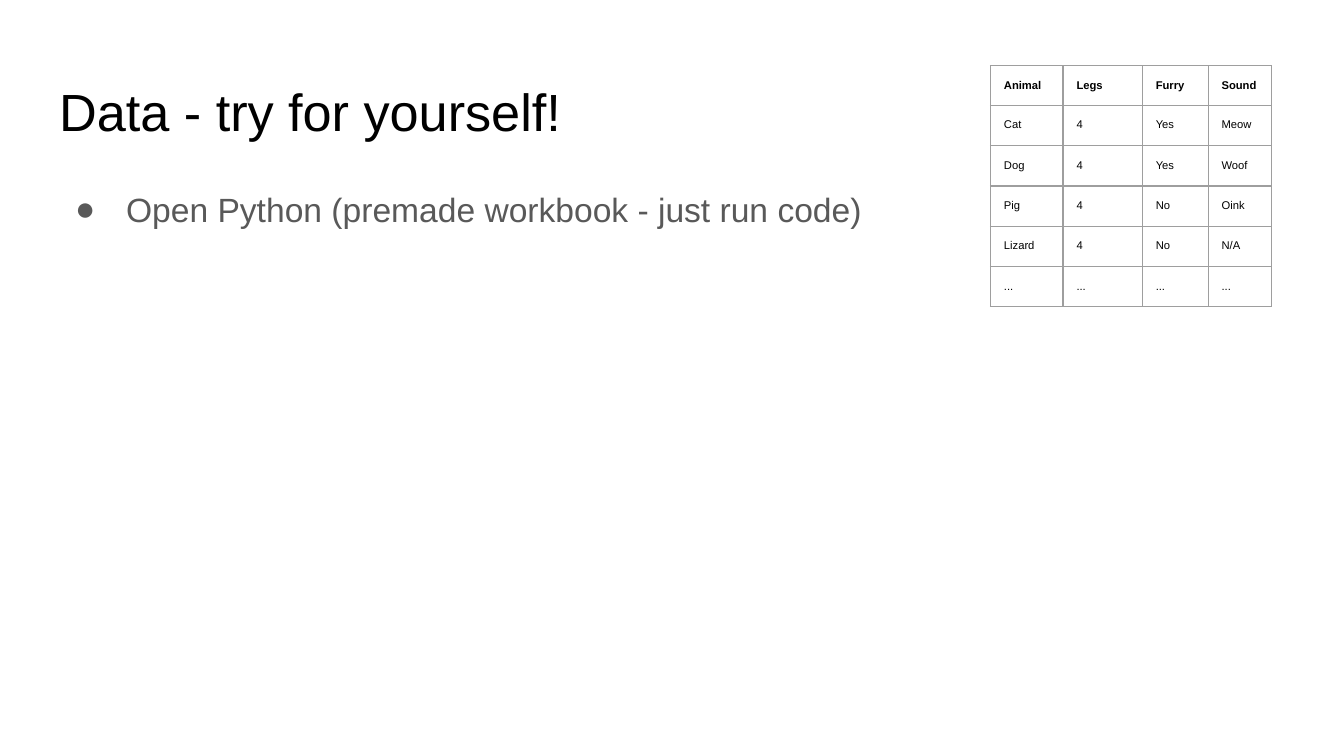
"""Build the slide that invites readers to try the animal data themselves."""
import pptx
import pptx.dml.color
import pptx.enum.text
import pptx.oxml
import pptx.oxml.ns
import pptx.util
from lxml import etree

BLACK = pptx.dml.color.RGBColor(0x00, 0x00, 0x00)
GREY = pptx.dml.color.RGBColor(0x59, 0x59, 0x59)
RULE = pptx.dml.color.RGBColor(0x9E, 0x9E, 0x9E)
WIDTH = 10
HEIGHT = WIDTH * 9 / 16
MARGIN = 0.34 / WIDTH
CONTENT = 1 - 2 * MARGIN
TOP = 0.49 / HEIGHT
ANIMALS = [
    ["Animal", "Legs", "Furry", "Sound"],
    ["Cat", "4", "Yes", "Meow"],
    ["Dog", "4", "Yes", "Woof"],
    ["Pig", "4", "No", "Oink"],
    ["Lizard", "4", "No", "N/A"],
    ["..."] * 4,
]


class Deck:
    """Holds the style and the current slide."""

    font = "Arial"
    inset = pptx.util.Inches(0.1)

    def __init__(self):
        self.prs = pptx.Presentation()
        self.prs.slide_width = pptx.util.Inches(WIDTH)
        self.prs.slide_height = pptx.util.Inches(HEIGHT)
        self.s = self.prs.slides.add_slide(self.prs.slide_layouts[5])

    def box(self, x, y, w, h):
        sw, sh = self.prs.slide_width, self.prs.slide_height
        return round(x * sw), round(y * sh), round(w * sw), round(h * sh)

    def pad(self, frame):
        frame.margin_left = frame.margin_right = self.inset
        frame.margin_top = frame.margin_bottom = self.inset

    def run(self, p, text, size, color, bold=False):
        p.alignment = pptx.enum.text.PP_ALIGN.LEFT
        r = p.add_run()
        r.text = text
        r.font.name, r.font.size, r.font.bold = self.font, pptx.util.Pt(size), bold
        r.font.color.rgb = color

    def frame(self, sp):
        tf = sp.text_frame
        tf.word_wrap = True
        tf.auto_size = pptx.enum.text.MSO_AUTO_SIZE.NONE
        tf.vertical_anchor = pptx.enum.text.MSO_ANCHOR.TOP
        self.pad(tf)
        return tf

    def title(self, text, *share):
        sp = self.s.shapes.title
        sp.left, sp.top, sp.width, sp.height = self.box(*share)
        self.run(self.frame(sp).paragraphs[0], text, 28, BLACK)

    def bullet(self, text, *share):
        p = self.frame(self.s.shapes.add_textbox(*self.box(*share))).paragraphs[0]
        p.line_spacing = 1.15
        ppr = p._p.get_or_add_pPr()
        ppr.set("marL", str(pptx.util.Inches(0.5)))
        ppr.set("indent", str(pptx.util.Inches(-0.38)))
        color = etree.SubElement(ppr, pptx.oxml.ns.qn("a:buClr"))
        etree.SubElement(color, pptx.oxml.ns.qn("a:srgbClr"), val=str(GREY))
        etree.SubElement(ppr, pptx.oxml.ns.qn("a:buFont"), typeface=self.font)
        etree.SubElement(ppr, pptx.oxml.ns.qn("a:buChar"), char="●")
        self.run(p, text, 18, GREY)

    def borders(self, cell):
        tcpr = cell._tc.get_or_add_tcPr()
        for index, side in enumerate(("lnL", "lnR", "lnT", "lnB")):
            ln = pptx.oxml.parse_xml(
                f'<a:{side} {pptx.oxml.ns.nsdecls("a")} w="{pptx.util.Pt(0.75)}">'
                f'<a:solidFill><a:srgbClr val="{RULE}"/></a:solidFill></a:{side}>'
            )
            tcpr.insert(index, ln)

    def table(self, rows, widths, heights, x, y):
        share = x, y, sum(widths) / WIDTH, sum(heights) / HEIGHT
        sp = self.s.shapes.add_table(len(rows), len(widths), *self.box(*share))
        tbl = sp.table
        tbl.horz_banding = tbl.first_row = False
        for column, width in zip(tbl.columns, widths):
            column.width = pptx.util.Inches(width)
        for i, (row, height) in enumerate(zip(rows, heights)):
            tbl.rows[i].height = pptx.util.Inches(height)
            for j, text in enumerate(row):
                cell = tbl.cell(i, j)
                self.pad(cell)
                cell.fill.background()
                self.borders(cell)
                self.run(cell.text_frame.paragraphs[0], text, 6, BLACK, i == 0)


def main():
    deck = Deck()
    deck.title("Data - try for yourself!", MARGIN, TOP, CONTENT, 0.63 / HEIGHT)
    deck.bullet(
        "Open Python (premade workbook - just run code)",
        MARGIN, 1.26 / HEIGHT, CONTENT, 3.74 / HEIGHT,
    )
    widths, heights = [0.54, 0.59, 0.49, 0.47], [0.27] + [0.3] * 4 + [0.27]
    deck.table(ANIMALS, widths, heights, 7.37 / WIDTH, TOP)
    deck.prs.save("out.pptx")


if __name__ == "__main__":
    main()
